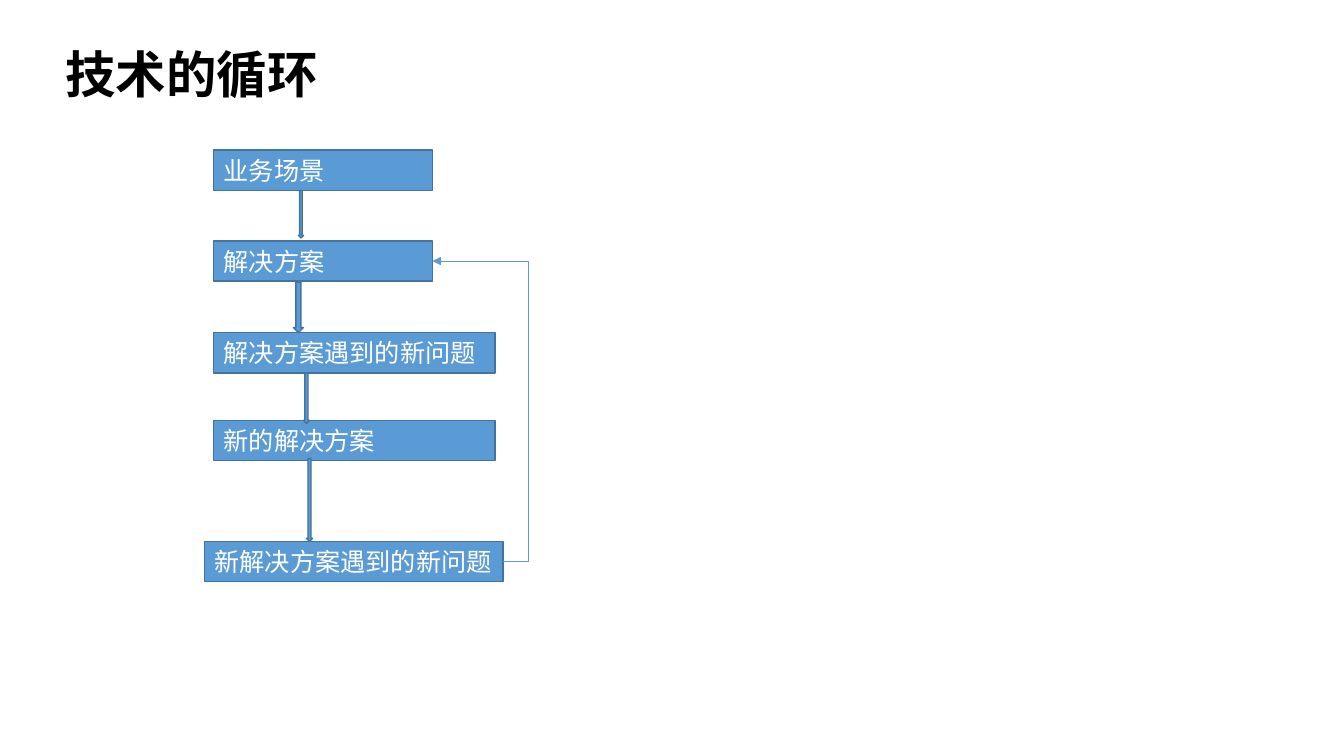
from dataclasses import dataclass

from lxml.etree import SubElement
from pptx import Presentation
from pptx.dml.color import RGBColor
from pptx.enum.shapes import MSO_CONNECTOR as Connector, MSO_SHAPE as Shape
from pptx.enum.text import MSO_ANCHOR as Anchor, MSO_AUTO_SIZE as AutoSize, PP_ALIGN as Align
from pptx.oxml.ns import qn
from pptx.shapes.autoshape import Shape as AutoShape
from pptx.slide import Slide
from pptx.text.text import _Paragraph as Paragraph
from pptx.util import Inches, Pt

FONT = "Noto Sans CJK SC"
BLUE = RGBColor(0x5B, 0x9B, 0xD5)
DARK_BLUE = RGBColor(0x43, 0x73, 0x9E)
WHITE = RGBColor(0xFF, 0xFF, 0xFF)
BLACK = RGBColor(0, 0, 0)
STEP_HEIGHT = 0.4
RIGHT_SIDE = 3


@dataclass(frozen=True)
class Step:
    text: str
    left: float
    top: float
    width: float


@dataclass(frozen=True)
class DownArrow:
    left: float
    top: float
    width: float
    height: float


STEPS = [
    Step("业务场景", 2.12, 1.49, 2.17),
    Step("解决方案", 2.12, 2.39, 2.17),
    Step("解决方案遇到的新问题", 2.12, 3.3, 2.79),
    Step("新的解决方案", 2.12, 4.17, 2.79),
    Step("新解决方案遇到的新问题", 2.03, 5.37, 2.96),
]
ARROWS = [
    DownArrow(2.96, 1.89, 0.05, 0.47),
    DownArrow(2.91, 2.8, 0.1, 0.5),
    DownArrow(3.01, 3.7, 0.06, 0.5),
    DownArrow(3.04, 4.55, 0.06, 0.82),
]


def format_text(para: Paragraph, size: int, color: RGBColor, bold: bool = False) -> None:
    para.alignment = Align.LEFT
    for span in para.runs:
        span.font.size = Pt(size)
        span.font.bold = bold
        span.font.color.rgb = color
        span.font.name = FONT
        SubElement(span.font._element, qn("a:ea"), typeface=FONT)


def add_title(page: Slide, text: str) -> None:
    title = page.shapes.title
    title.left, title.top = Inches(0.55), Inches(0.4)
    title.width, title.height = Inches(11.86), Inches(0.73)
    frame = title.text_frame
    frame.text = text
    frame.auto_size = AutoSize.NONE
    frame.vertical_anchor = Anchor.MIDDLE
    frame.paragraphs[0].line_spacing = 0.9
    format_text(frame.paragraphs[0], 36, BLACK, bold=True)


def add_blue_shape(page: Slide, kind: Shape, left: float, top: float,
                   width: float, height: float) -> AutoShape:
    shape = page.shapes.add_shape(kind, Inches(left), Inches(top), Inches(width), Inches(height))
    shape.shadow.inherit = False
    shape.fill.solid()
    shape.fill.fore_color.rgb = BLUE
    shape.line.color.rgb = DARK_BLUE
    shape.line.width = Pt(1)
    return shape


def add_step(page: Slide, step: Step) -> AutoShape:
    box = add_blue_shape(page, Shape.RECTANGLE, step.left, step.top, step.width, STEP_HEIGHT)
    frame = box.text_frame
    frame.text = step.text
    frame.word_wrap = True
    frame.auto_size = AutoSize.SHAPE_TO_FIT_TEXT
    frame.vertical_anchor = Anchor.TOP
    frame.margin_right = Inches(0.05)
    format_text(frame.paragraphs[0], 18, WHITE)
    return box


def add_return_arrow(page: Slide, start: AutoShape, end: AutoShape) -> None:
    """Join the right sides of two boxes with an elbow that bends outside them."""
    arrow = page.shapes.add_connector(Connector.ELBOW, 0, 0, 0, 0)
    arrow.begin_connect(start, RIGHT_SIDE)
    arrow.end_connect(end, RIGHT_SIDE)
    arrow.line.color.rgb = BLUE
    arrow.line.width = Pt(0.5)
    SubElement(arrow.line._get_or_add_ln(), qn("a:tailEnd"), type="triangle")
    properties = arrow._element.spPr
    SubElement(properties, qn("a:effectLst"))
    guides = properties.find(qn("a:prstGeom")).get_or_add_avLst()
    SubElement(guides, qn("a:gd"), name="adj1", fmla="val -35400")


def main() -> None:
    deck = Presentation()
    deck.slide_width, deck.slide_height = Inches(13.33), Inches(7.5)
    page = deck.slides.add_slide(deck.slide_layouts.get_by_name("Title Only"))
    add_title(page, "技术的循环")
    boxes = [add_step(page, step) for step in STEPS]
    for arrow in ARROWS:
        add_blue_shape(page, Shape.DOWN_ARROW, arrow.left, arrow.top, arrow.width, arrow.height)
    add_return_arrow(page, start=boxes[-1], end=boxes[1])
    deck.save("out.pptx")


if __name__ == "__main__":
    main()
